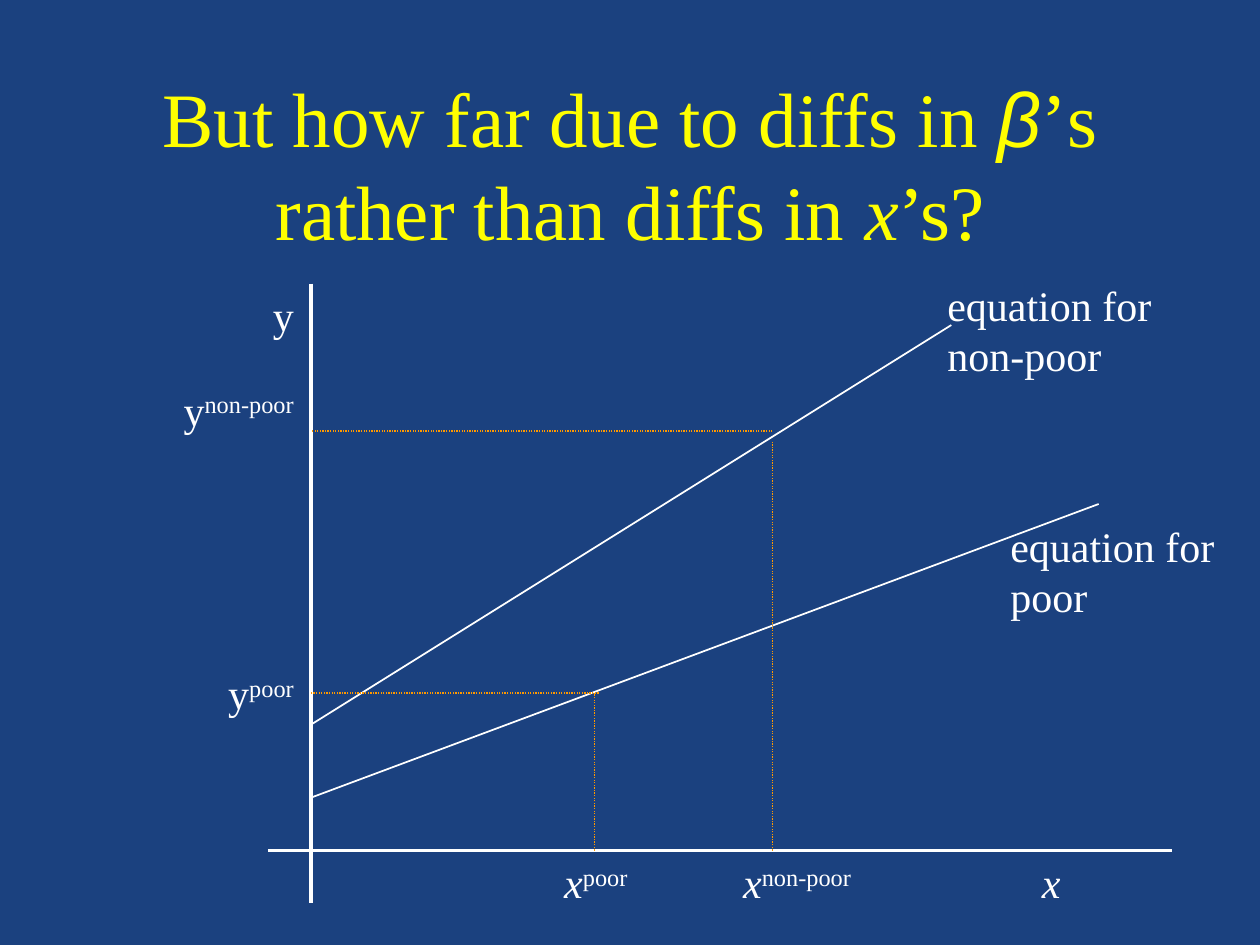
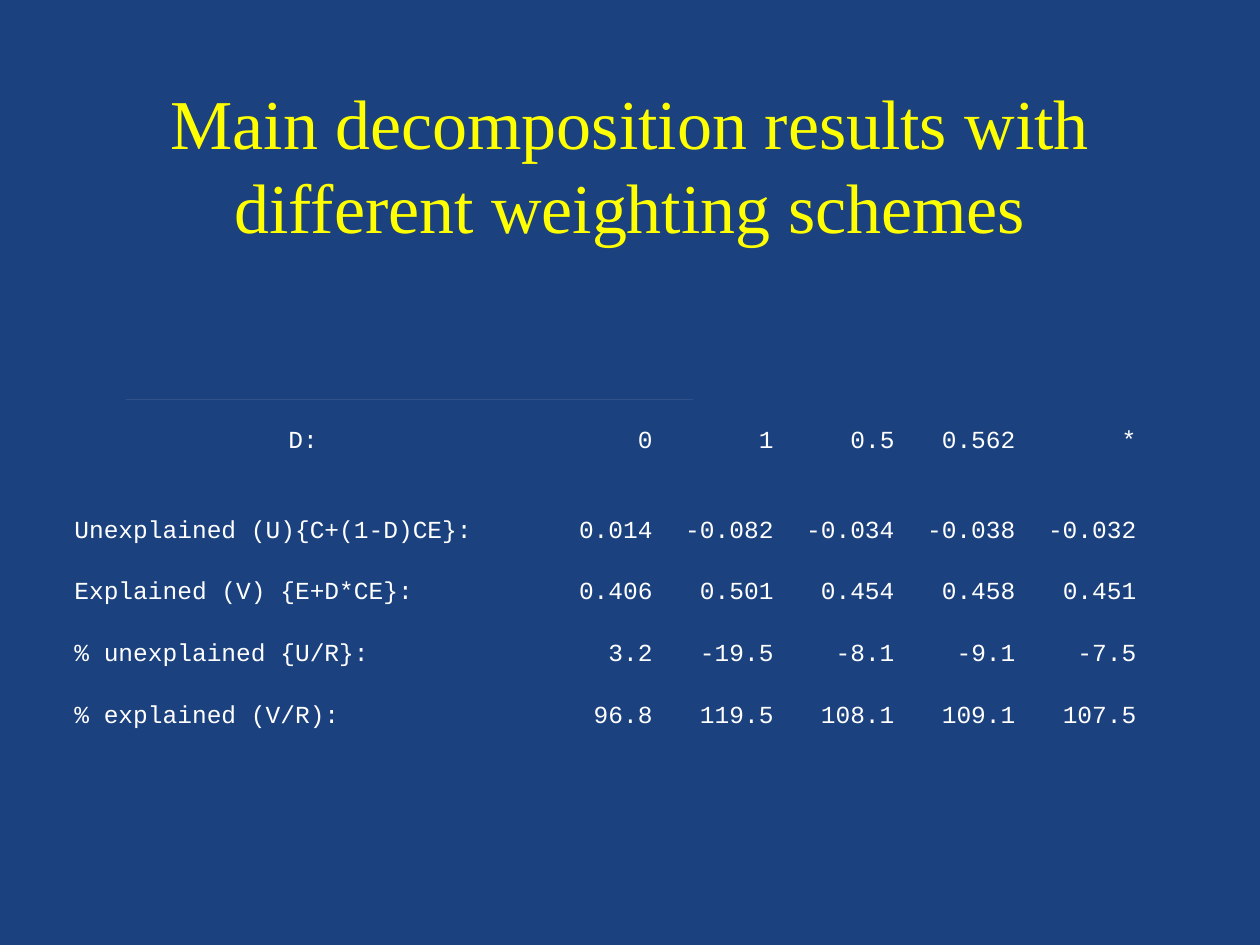
from lxml.etree import SubElement
from pptx import Presentation
from pptx.dml.color import RGBColor
from pptx.enum.dml import MSO_LINE as Dash
from pptx.enum.shapes import MSO_CONNECTOR as Link, MSO_SHAPE as Form
from pptx.enum.text import MSO_ANCHOR as Anchor, PP_ALIGN as Align
from pptx.oxml.ns import qn
from pptx.util import Inches, Pt

NAVY = RGBColor(0x1B, 0x41, 0x7F)
WHITE = RGBColor(0xFF, 0xFF, 0xFF)
YELLOW = RGBColor(0xFF, 0xFF, 0x00)
ORANGE = RGBColor(0xFF, 0x99, 0x00)
GREY = RGBColor(0xCC, 0xCC, 0xCC)

SERIF = "Times New Roman"
MONO = "Courier New"
PLAIN = "{2D5ABB26-0587-4C30-8999-92F81FD0307C}"
TITLE_BOX = (0.75, 0.67, 8.5, 1.25)

ITALIC = {"italic": True}
GREEK = {"italic": True, "name": "Arial"}
AXIS = {"width": Pt(2.25)}
CURVE = {"width": Pt(1)}
GUIDE = {"width": Pt(0.75), "dash_style": Dash.ROUND_DOT}

ROWS = [
    ("D:", "0", "1", "0.5", "0.562", "*"),
    ("Unexplained (U){C+(1-D)CE}:", "0.014", "-0.082", "-0.034", "-0.038", "-0.032"),
    ("Explained (V) {E+D*CE}:", "0.406", "0.501", "0.454", "0.458", "0.451"),
    ("% unexplained {U/R}:", "3.2", "-19.5", "-8.1", "-9.1", "-7.5"),
    ("% explained (V/R):", "96.8", "119.5", "108.1", "109.1", "107.5"),
]


def apply(target, form):
    for key, value in form.items():
        setattr(target, key, value)


def write(para, runs, size, color=WHITE, face=SERIF, align=Align.LEFT):
    para.alignment = align
    for text, form in runs:
        run = para.add_run()
        run.text = text
        apply(run.font, {"name": face, "size": Pt(size), **form})
        run.font.color.rgb = color
    return run


def add_text(slide, box, runs, size=24, color=WHITE, align=Align.LEFT, anchor=Anchor.TOP):
    frame = slide.shapes.add_textbox(*map(Inches, box)).text_frame
    apply(frame, {"word_wrap": True, "vertical_anchor": anchor})
    return write(frame.paragraphs[0], runs, size, color, align=align)


def add_label(slide, box, name, group, form, align=Align.LEFT):
    runs = [(name, form)] + ([(group, {})] if group else [])
    last = add_text(slide, box, runs, align=align)
    if group:
        last.font._element.set("baseline", "30000")


def add_line(slide, box, start, end, form, color=WHITE):
    left, top = box[:2]
    ends = (left + start[0], top + start[1], left + end[0], top + end[1])
    line = slide.shapes.add_connector(Link.STRAIGHT, *map(Inches, ends))
    line.line.color.rgb = color
    apply(line.line, form)
    SubElement(line._element.spPr, qn("a:effectLst"))


def add_slide(deck, title, size):
    slide = deck.slides.add_slide(deck.slide_layouts[6])
    fill = slide.background.fill
    fill.solid()
    fill.fore_color.rgb = NAVY
    add_text(slide, TITLE_BOX, title, size, YELLOW, Align.CENTER, Anchor.MIDDLE)
    return slide


def draw_graph(slide, box):
    left, top, wide, high = box
    zero, base = 0.34, 4.5
    add_line(slide, box, (zero, 0), (zero, high), AXIS)
    add_line(slide, box, (0, base), (wide, base), AXIS)
    add_line(slide, box, (zero, 4.08), (6.59, 1.75), CURVE)
    add_line(slide, box, (zero, 3.5), (5.42, 0.33), CURVE)
    for drop, peak, reach, level in ((2.59, 3.25, 2.62, 3.25), (4, 1.25, 4, 1.17)):
        add_line(slide, box, (drop, base), (drop, peak), GUIDE, ORANGE)
        add_line(slide, box, (reach, level), (zero, level), GUIDE, ORANGE)
    for down, group in ((0, ""), (0.75, "non-poor"), (3, "poor")):
        add_label(slide, (left - 1.55, top + down, 1.85, 0.5), "y", group, {}, Align.RIGHT)
    for over, group in ((2.25, "poor"), (3.67, "non-poor"), (6.04, "")):
        add_label(slide, (left + over, top + base, 1.27, 0.5), "x", group, ITALIC)
    for over, down, span, group in ((5.29, -0.08, 2.43, "non-poor"), (5.79, 1.83, 2.08, "poor")):
        add_text(slide, (left + over, top + down, span, 0.9), [(f"equation for {group}", {})])


def draw_table(slide, box):
    left, top, wide, high = box
    rule = slide.shapes.add_shape(
        Form.RECTANGLE, Inches(left + 0.51), Inches(top - 0.01), Inches(4.5), 0)
    rule.shadow.inherit = False
    rule.fill.solid()
    rule.fill.fore_color.rgb = GREY
    rule.line.fill.background()

    frame = slide.shapes.add_table(len(ROWS), len(ROWS[0]), *map(Inches, box))
    table = frame.table
    apply(table, {"first_row": False, "horz_banding": False})
    table._tbl.tblPr.find(qn("a:tableStyleId")).text = PLAIN
    for i, col in enumerate(table.columns):
        col.width = Inches(0.96 if i else wide - 5 * 0.96)
    for i, row in enumerate(table.rows):
        row.height = Inches(high - 4 * 0.49 if i == 1 else 0.49)
        for j, cell in enumerate(row.cells):
            cell.fill.background()
            cell.vertical_anchor = Anchor.BOTTOM
            align = Align.RIGHT if j else Align.LEFT if i else Align.CENTER
            write(cell.text_frame.paragraphs[0], [(ROWS[i][j], {})], 14, face=MONO, align=align)


def main():
    deck = Presentation()
    apply(deck, {"slide_width": Inches(10), "slide_height": Inches(7.5)})
    title = [("But how far due to diffs in ", {}), ("β", GREEK),
             ("’s rather than diffs in ", {}), ("x", ITALIC), ("’s?", {})]
    draw_graph(add_slide(deck, title, 44), (2.13, 2.25, 7.17, 4.92))
    title = [("Main decomposition results with different weighting schemes", {})]
    draw_table(add_slide(deck, title, 40), (0.49, 3.18, 8.63, 2.67))
    deck.save("out.pptx")


if __name__ == "__main__":
    main()
